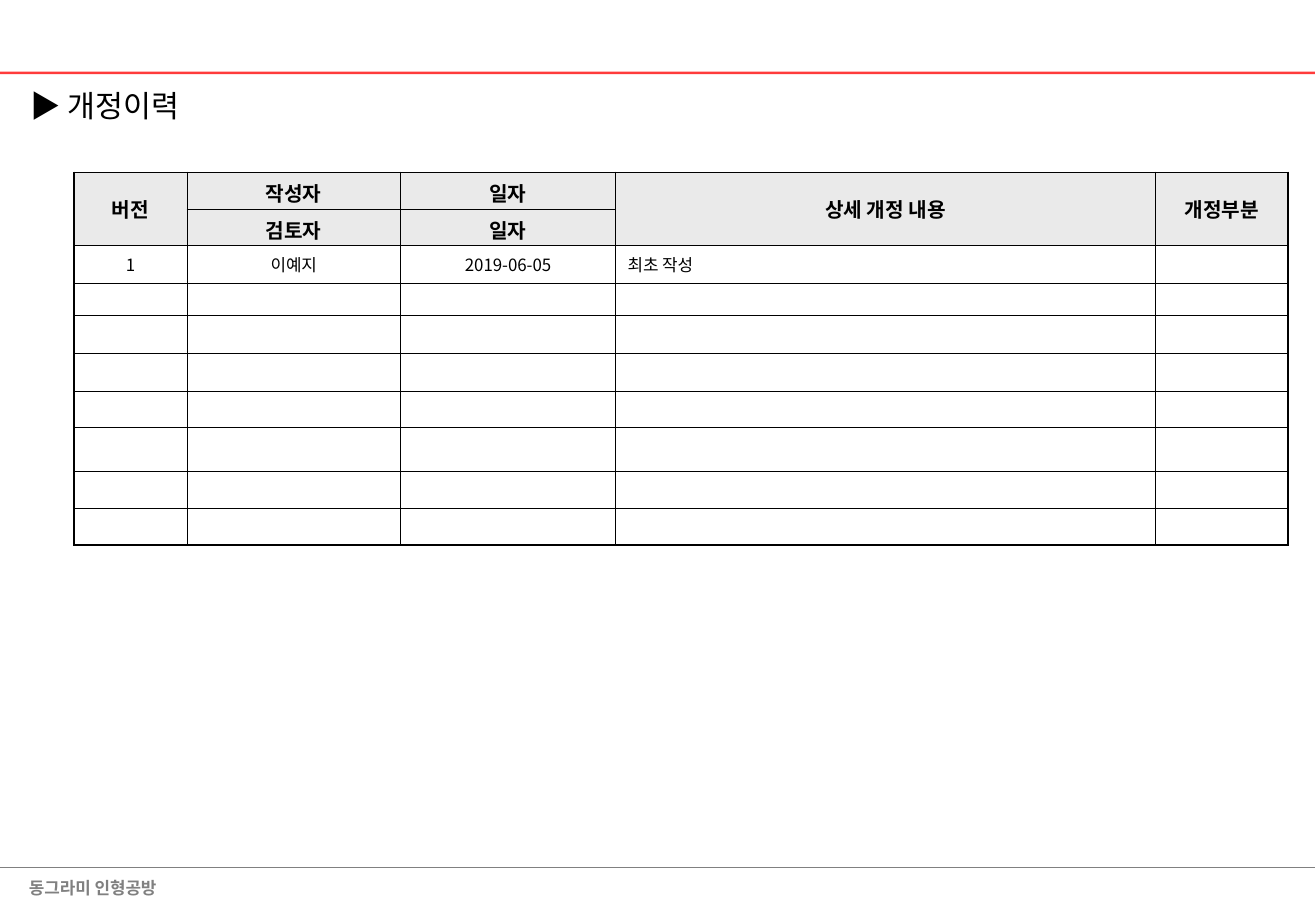
from dataclasses import dataclass

from lxml.etree import SubElement
from pptx import Presentation
from pptx.dml.color import RGBColor
from pptx.enum.shapes import MSO_CONNECTOR
from pptx.enum.text import MSO_ANCHOR, MSO_AUTO_SIZE, PP_ALIGN
from pptx.oxml.ns import qn
from pptx.slide import Slide
from pptx.table import _Cell as Cell
from pptx.text.text import TextFrame
from pptx.util import Emu, Pt

PX = 9144  # one px is 1/100 inch
FONT = "Noto Sans CJK KR"
COLORS = {"black": "000000", "gray": "808080", "red": "FF0000", "header": "EAEAEA"}

SLIDE_WIDTH, SLIDE_HEIGHT = 1084, 750
TABLE_LEFT, TABLE_TOP = 61, 142
COLUMN_WIDTHS = [93, 176, 177, 445, 109]
ROW_HEIGHTS = [30, 30, 31, 27, 31, 31, 30, 36, 31, 30]
HEADER_ROWS = 2
MERGED_COLUMNS = [0, 3, 4]
DETAIL_COLUMN = 3
ROW_TEXTS = [
    ["버전", "작성자", "일자", "상세 개정 내용", "개정부분"],
    ["", "검토자", "일자", "", ""],
    ["1", "이예지", "2019-06-05", "최초 작성", ""],
]
INNER_BORDER, OUTER_BORDER = 0.45, 1.08


@dataclass(frozen=True)
class Rule:
    top: int
    color: str
    width: float
    opacity: int = 100


RULES = [Rule(60, "red", 1.5, 76), Rule(714, "gray", 0.75)]


def px(length: int) -> Emu:
    return Emu(length * PX)


def rgb(name: str) -> RGBColor:
    return RGBColor.from_string(COLORS[name])


def write_text(frame: TextFrame, text: str, *, size: int, color: str = "black",
               bold: bool = False, align: PP_ALIGN = PP_ALIGN.LEFT) -> None:
    paragraph = frame.paragraphs[0]
    paragraph.alignment = align
    if not text:
        # An empty cell still needs a font size, or its row grows
        SubElement(paragraph._p, qn("a:endParaRPr"), sz=str(size * 100))
        return
    run = paragraph.add_run()
    run.text = text
    run.font.size = Pt(size)
    run.font.bold = bold
    run.font.color.rgb = rgb(color)
    run.font.name = FONT
    SubElement(run.font._element, qn("a:ea"), typeface=FONT)


def set_frame(frame: TextFrame, *, wrap: bool, bottom: int = 0) -> None:
    frame.word_wrap = wrap
    frame.auto_size = MSO_AUTO_SIZE.NONE
    frame.vertical_anchor = MSO_ANCHOR.MIDDLE
    frame.margin_left = frame.margin_right = px(10)
    frame.margin_top, frame.margin_bottom = px(0), px(bottom)


def draw_rule(slide: Slide, rule: Rule) -> None:
    line = slide.shapes.add_connector(
        MSO_CONNECTOR.STRAIGHT, px(0), px(rule.top), px(SLIDE_WIDTH - 1), px(rule.top))
    line.line.color.rgb = rgb(rule.color)
    line.line.width = Pt(rule.width)
    properties = line._element.spPr
    if rule.opacity < 100:
        color = properties.find(".//" + qn("a:srgbClr"))
        SubElement(color, qn("a:alpha"), val=str(rule.opacity * 1000))
    SubElement(properties, qn("a:effectLst"))


def set_borders(cell: Cell, row: int, column: int) -> None:
    outer_sides = {
        "a:lnL": column == 0,
        "a:lnR": column == len(COLUMN_WIDTHS) - 1,
        "a:lnT": row == 0,
        "a:lnB": row == len(ROW_HEIGHTS) - 1,
    }
    properties = cell._tc.get_or_add_tcPr()
    for side, is_outer in outer_sides.items():
        width = Pt(OUTER_BORDER if is_outer else INNER_BORDER)
        border = SubElement(properties, qn(side), w=str(int(width)))
        fill = SubElement(border, qn("a:solidFill"))
        SubElement(fill, qn("a:srgbClr"), val=COLORS["black"])


def fill_cell(cell: Cell, row: int, column: int) -> None:
    is_header = row < HEADER_ROWS
    is_merged = is_header and column in MERGED_COLUMNS
    text = ROW_TEXTS[row][column] if row < len(ROW_TEXTS) else ""
    is_detail = column == DETAIL_COLUMN and not is_header

    set_borders(cell, row, column)
    if is_header:
        cell.fill.solid()
        cell.fill.fore_color.rgb = rgb("header")
    else:
        cell.fill.background()
    cell.vertical_anchor = MSO_ANCHOR.MIDDLE
    cell.margin_left = cell.margin_right = px(10)
    cell.margin_top = px(4 if is_header and not is_merged else 0)
    cell.margin_bottom = px(0)
    write_text(cell.text_frame, text, size=12 if is_header else 10, bold=is_header,
               align=PP_ALIGN.LEFT if is_detail else PP_ALIGN.CENTER)


def draw_revision_table(slide: Slide) -> None:
    table = slide.shapes.add_table(
        len(ROW_HEIGHTS), len(COLUMN_WIDTHS), px(TABLE_LEFT), px(TABLE_TOP),
        px(sum(COLUMN_WIDTHS)), px(sum(ROW_HEIGHTS))).table
    table.first_row = table.horz_banding = False
    for column, width in zip(table.columns, COLUMN_WIDTHS):
        column.width = px(width)
    for row, height in zip(table.rows, ROW_HEIGHTS):
        row.height = px(height)
    for row in range(len(ROW_HEIGHTS)):
        for column in range(len(COLUMN_WIDTHS)):
            fill_cell(table.cell(row, column), row, column)
    for column in MERGED_COLUMNS:
        table.cell(0, column).merge(table.cell(HEADER_ROWS - 1, column))


def main() -> None:
    presentation = Presentation()
    presentation.slide_width = px(SLIDE_WIDTH)
    presentation.slide_height = px(SLIDE_HEIGHT)
    slide = presentation.slides.add_slide(presentation.slide_layouts[5])

    # Header and footer rules
    for rule in RULES:
        draw_rule(slide, rule)

    # Footer
    footer = slide.shapes.add_textbox(px(14), px(717), px(125), px(27))
    set_frame(footer.text_frame, wrap=False)
    write_text(footer.text_frame, "동그라미 인형공방", size=10, color="gray", bold=True)

    # Revision history
    draw_revision_table(slide)

    # Title
    title = slide.shapes.title
    title.left, title.top, title.width, title.height = px(15), px(67), px(355), px(46)
    set_frame(title.text_frame, wrap=True, bottom=7)
    write_text(title.text_frame, "▶ 개정이력", size=18)

    presentation.save("out.pptx")


if __name__ == "__main__":
    main()
